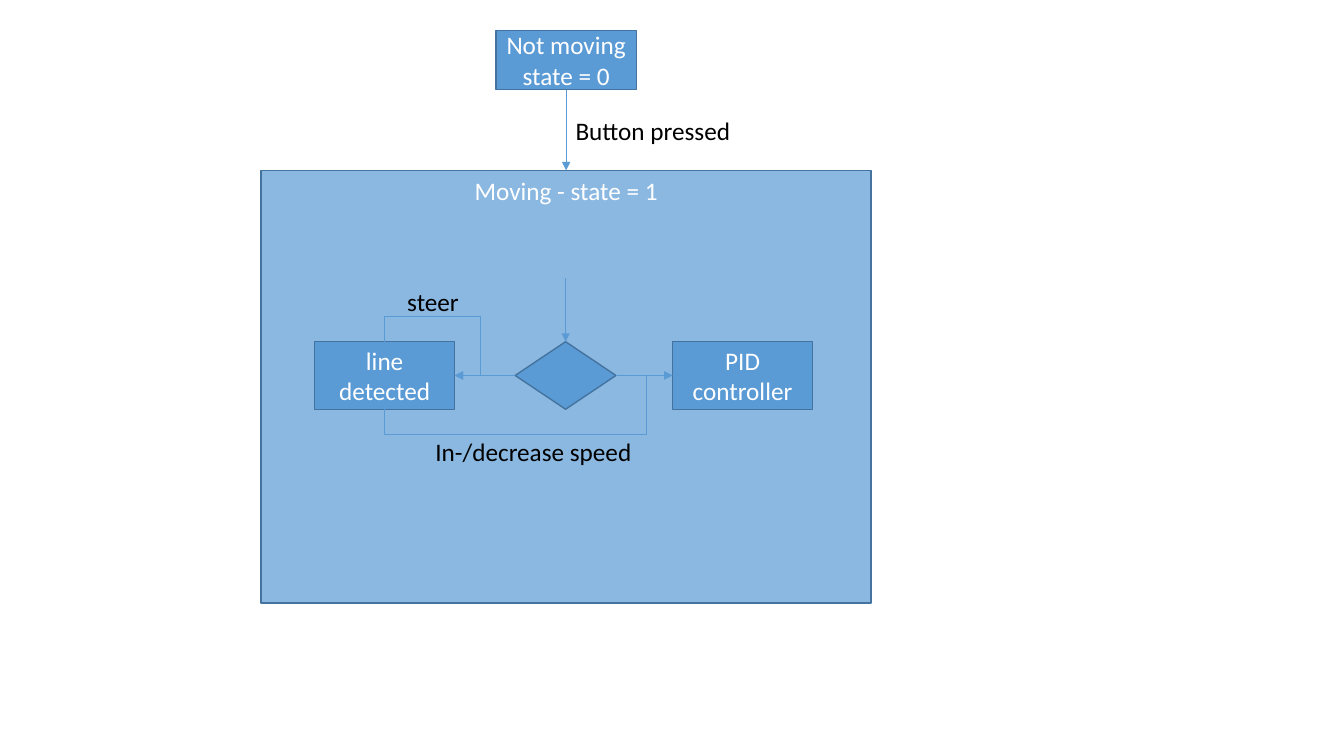
from dataclasses import dataclass
from typing import Optional

from lxml import etree
from pptx import Presentation
from pptx import util as u
from pptx.dml.color import RGBColor
from pptx.enum import shapes, text
from pptx.oxml.ns import qn

PROCESS = shapes.MSO_SHAPE.FLOWCHART_PROCESS
DECISION = shapes.MSO_SHAPE.FLOWCHART_DECISION
TOP, LEFT, BOTTOM, RIGHT = range(4)


@dataclass(frozen=True)
class Theme:
    """Colours, font and sizes of the slide."""
    fill: RGBColor = RGBColor(0x5B, 0x9B, 0xD5)
    outline: RGBColor = RGBColor(0x43, 0x73, 0x9E)
    light: RGBColor = RGBColor(0xFF, 0xFF, 0xFF)
    dark: RGBColor = RGBColor(0, 0, 0)
    font: str = "Calibri"
    size: u.Pt = u.Pt(18)
    outline_width: u.Pt = u.Pt(1)
    arrow_width: u.Pt = u.Pt(0.5)


@dataclass(frozen=True)
class Node:
    """A flowchart shape with its lines of text."""
    name: str
    left: float
    top: float
    width: float
    height: float
    lines: tuple = ()
    kind: shapes.MSO_SHAPE = PROCESS
    anchor: text.MSO_ANCHOR = text.MSO_ANCHOR.MIDDLE
    opacity: Optional[int] = None


@dataclass(frozen=True)
class Label:
    """Free text beside an arrow."""
    wording: str
    left: float
    top: float
    width: float


@dataclass(frozen=True)
class Arrow:
    """A straight arrow between the sides of two nodes."""
    source: str
    source_side: int
    target: str
    target_side: int


@dataclass(frozen=True)
class Loop(Arrow):
    """A bent arrow, turned and bent by the given ratios."""
    rotation: int
    flip_vertical: bool
    bends: tuple


THEME = Theme()
ROW_TOP, BOX_WIDTH, ROW_HEIGHT = 3.39, 1.39, 0.67
CENTRE, LABEL_HEIGHT = 5.61, 0.4

NODES = (
    Node("moving", 2.59, 1.69, 6.05, 4.29, ("Moving - state = 1",),
         anchor=text.MSO_ANCHOR.TOP, opacity=70),
    Node("stopped", 4.92, 0.3, BOX_WIDTH, 0.59, ("Not moving", "state = 0")),
    Node("line", 3.12, ROW_TOP, BOX_WIDTH, ROW_HEIGHT, ("line detected",)),
    Node("controller", 6.67, ROW_TOP, BOX_WIDTH, ROW_HEIGHT, ("PID controller",)),
    Node("decision", 5.11, ROW_TOP, 1, ROW_HEIGHT, kind=DECISION),
)
LABELS = (
    Label("Button pressed", 5.61, 1.09, 1.76),
    Label("In-/decrease speed", 4.22, 4.28, 2.17),
    Label("steer", 3.94, 2.79, 0.72),
)
ARROWS = (
    Arrow("stopped", BOTTOM, "moving", TOP),
    Arrow("decision", RIGHT, "controller", LEFT),
    Arrow("decision", LEFT, "line", RIGHT),
)
LOOPS = (
    Loop("line", BOTTOM, "controller", LEFT, 90, True, (-0.746, 0.909)),
    Loop("line", TOP, "line", RIGHT, 270, False, (-0.746, 1.359)),
)


def apply(target, values: dict) -> None:
    """Set each named attribute on the target."""
    for name, value in values.items():
        setattr(target, name, value)


def write(shape, lines: tuple, color: RGBColor, align, frame_format: dict) -> None:
    """Write one paragraph per line in the slide's font."""
    frame = shape.text_frame
    apply(frame, frame_format)
    for index, line in enumerate(lines):
        paragraph = frame.add_paragraph() if index else frame.paragraphs[0]
        paragraph.alignment = align
        run = paragraph.add_run()
        run.text = line
        apply(run.font, {"name": THEME.font, "size": THEME.size})
        run.font.color.rgb = color


def add_node(slide, node: Node):
    """Draw a flowchart shape and return it."""
    frame = map(u.Inches, (node.left, node.top, node.width, node.height))
    shape = slide.shapes.add_shape(node.kind, *frame)
    shape.shadow.inherit = False
    shape.fill.solid()
    shape.fill.fore_color.rgb = THEME.fill
    if node.opacity is not None:
        color = shape.element.spPr.find(".//" + qn("a:srgbClr"))
        etree.SubElement(color, qn("a:alpha"), val=str(node.opacity * 1000))
    shape.line.color.rgb = THEME.outline
    shape.line.width = THEME.outline_width
    write(shape, node.lines, THEME.light, text.PP_ALIGN.CENTER,
          {"word_wrap": True, "vertical_anchor": node.anchor})
    return shape


def add_label(slide, label: Label) -> None:
    """Place a one-line text that does not wrap."""
    frame = map(u.Inches, (label.left, label.top, label.width, LABEL_HEIGHT))
    write(slide.shapes.add_textbox(*frame), (label.wording,), THEME.dark,
          text.PP_ALIGN.LEFT,
          {"word_wrap": False, "auto_size": text.MSO_AUTO_SIZE.SHAPE_TO_FIT_TEXT})


def add_line(slide, kind, start: tuple = (0, 0), end: tuple = (0, 0)):
    """Draw a thin connector with an arrowhead at its end."""
    connector = slide.shapes.add_connector(kind, *map(u.Inches, start + end))
    connector.line.color.rgb = THEME.fill
    connector.line.width = THEME.arrow_width
    properties = connector.element.spPr
    etree.SubElement(properties.find(qn("a:ln")), qn("a:tailEnd"), type="triangle")
    etree.SubElement(properties, qn("a:effectLst"))
    return connector


def add_arrow(slide, arrow: Arrow, drawn: dict, kind=shapes.MSO_CONNECTOR.STRAIGHT):
    """Attach an arrow to the sides of two drawn nodes."""
    connector = add_line(slide, kind)
    connector.begin_connect(drawn[arrow.source], arrow.source_side)
    connector.end_connect(drawn[arrow.target], arrow.target_side)
    return connector


def add_loop(slide, loop: Loop, drawn: dict) -> None:
    """Attach a bent arrow, turning its frame about the centre."""
    connector = add_arrow(slide, loop, drawn, shapes.MSO_CONNECTOR.ELBOW)
    width, height = connector.width, connector.height
    shift = (width - height) // 2
    apply(connector, {"left": connector.left + shift, "top": connector.top - shift,
                      "width": height, "height": width})
    frame = connector.element.spPr.find(qn("a:xfrm"))
    for name, value in {"rot": loop.rotation * 60000, "flipH": 1,
                        "flipV": int(loop.flip_vertical)}.items():
        frame.set(name, str(value))
    geometry = connector.element.spPr.find(qn("a:prstGeom"))
    geometry.set("prst", "bentConnector4")
    guides = geometry.find(qn("a:avLst"))
    if guides is None:
        guides = etree.SubElement(geometry, qn("a:avLst"))
    for index, ratio in enumerate(loop.bends, 1):
        etree.SubElement(guides, qn("a:gd"), name=f"adj{index}",
                         fmla=f"val {round(ratio * 100000)}")


def main() -> None:
    """Build the state diagram and save it."""
    presentation = Presentation()
    apply(presentation, {"slide_width": u.Inches(13.33), "slide_height": u.Inches(7.5)})
    slide = presentation.slides.add_slide(presentation.slide_layouts[6])
    drawn = {node.name: add_node(slide, node) for node in NODES}
    for arrow in ARROWS:
        add_arrow(slide, arrow, drawn)
    add_line(slide, shapes.MSO_CONNECTOR.STRAIGHT, (CENTRE, 2.76), (CENTRE, ROW_TOP))
    for loop in LOOPS:
        add_loop(slide, loop, drawn)
    for label in LABELS:
        add_label(slide, label)
    presentation.save("out.pptx")


main()
